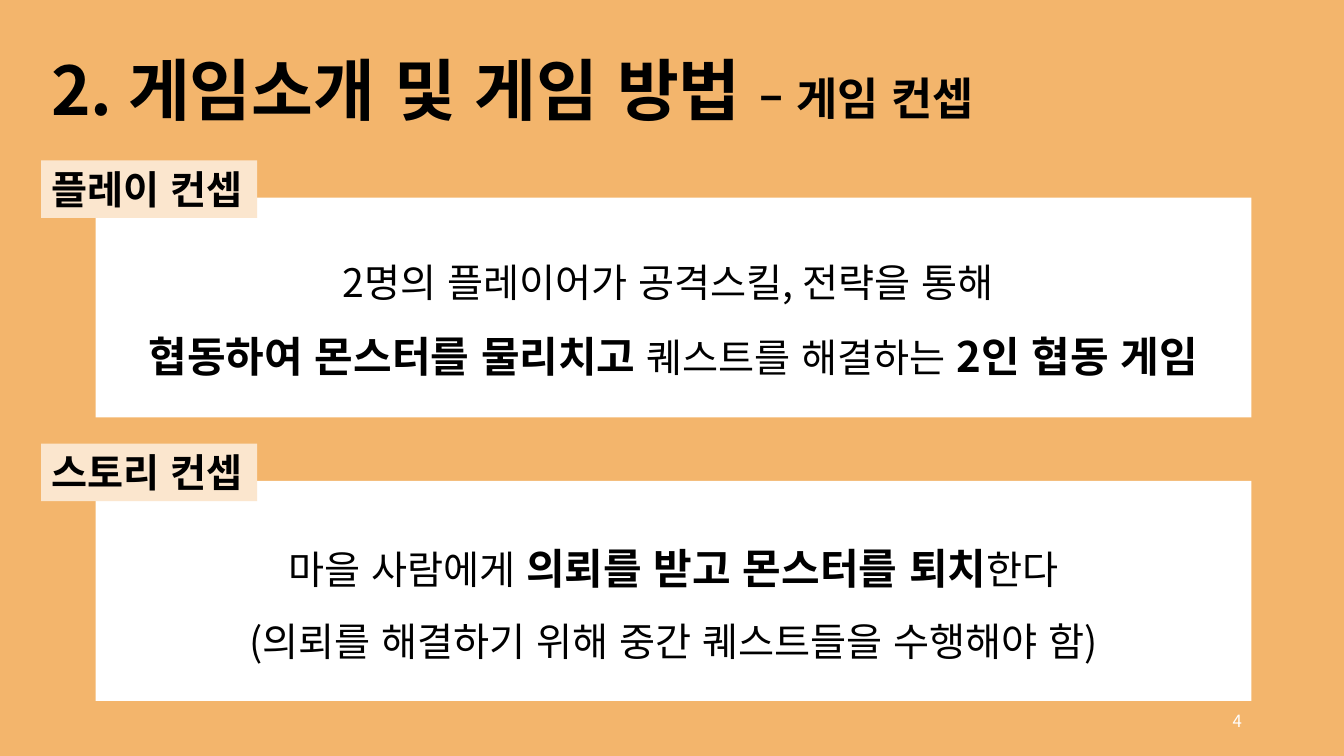
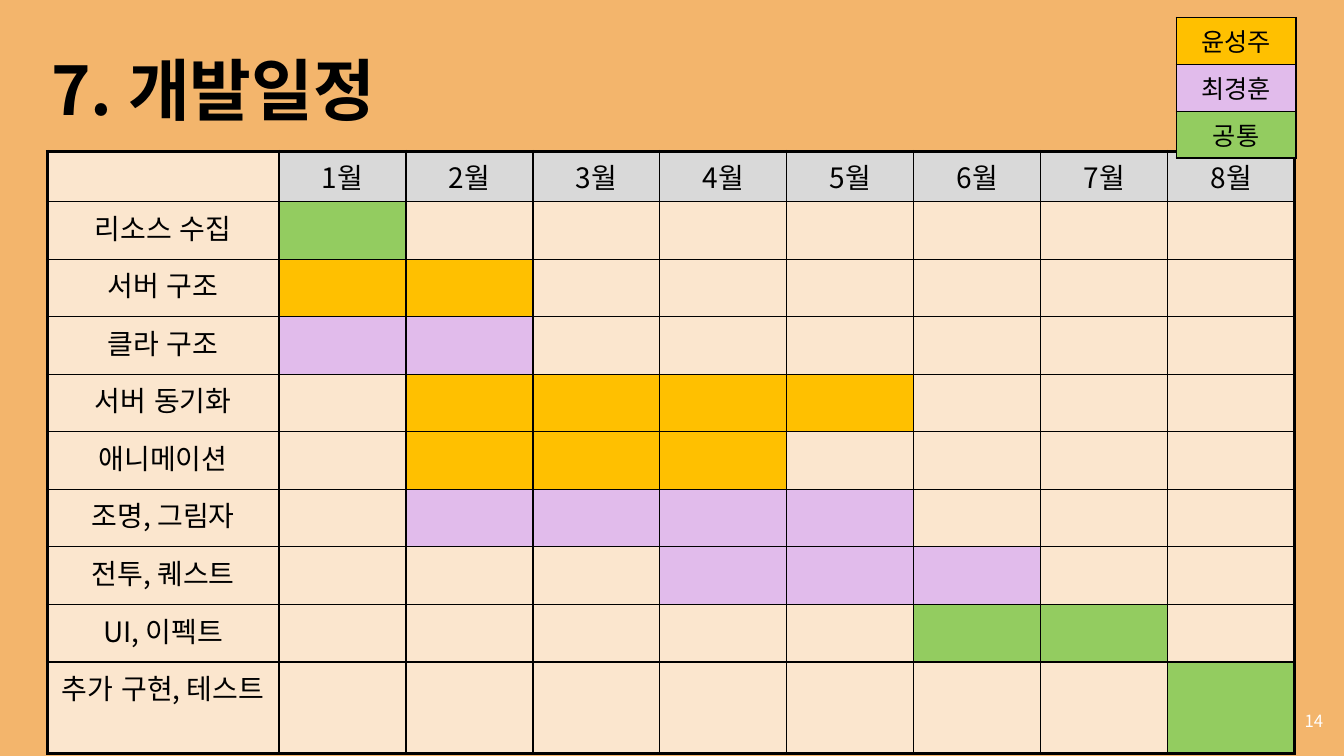
from lxml import etree
from pptx import Presentation
from pptx.dml.color import RGBColor
from pptx.enum import lang, shapes, text
from pptx.oxml.ns import qn
from pptx.util import Cm, Pt

FONT = "Noto Sans CJK KR"
BLACK = RGBColor(0x00, 0x00, 0x00)
WHITE = RGBColor(0xFF, 0xFF, 0xFF)
ORANGE = RGBColor(0xF3, 0xB5, 0x6C)
CREAM = RGBColor(0xFB, 0xE6, 0xCE)
GRAY = RGBColor(0xD9, 0xD9, 0xD9)
AMBER = RGBColor(0xFF, 0xC0, 0x00)
LILAC = RGBColor(0xE1, 0xBB, 0xEB)
GREEN = RGBColor(0x93, 0xCC, 0x60)

# Each run is (text, size, bold)
CONCEPT_TITLE = [("2. 게임소개 및 게임 방법 ", 48, True), ("– 게임 컨셉", 32, True)]
CONCEPTS = [
    ("플레이 컨셉", [
        [("2명의 플레이어가 공격스킬, 전략을 통해 ", 28, False)],
        [("협동하여 몬스터를 물리치고", 30, True),
         (" 퀘스트를 해결하는 ", 28, False),
         ("2인 협동 게임", 30, True)],
    ]),
    ("스토리 컨셉", [
        [("마을 사람에게 ", 28, False),
         ("의뢰를 받고 몬스터를 퇴치", 30, True),
         ("한다", 28, False)],
        [("(의뢰를 해결하기 위해 중간 퀘스트들을 수행해야 함)", 28, False)],
    ]),
]

SCHEDULE_TITLE = [("7. 개발일정", 48, True)]
OWNERS = [("윤성주", AMBER), ("최경훈", LILAC), ("공통", GREEN)]
MONTHS = 8
# Task, first month, last month, colour of its owner
TASKS = [
    ("리소스 수집", 1, 1, GREEN),
    ("서버 구조", 1, 2, AMBER),
    ("클라 구조", 1, 2, LILAC),
    ("서버 동기화", 2, 5, AMBER),
    ("애니메이션", 2, 4, AMBER),
    ("조명, 그림자", 2, 5, LILAC),
    ("전투, 퀘스트", 4, 6, LILAC),
    ("UI, 이펙트", 6, 7, GREEN),
    ("추가 구현, 테스트", 8, 8, GREEN),
]

THIN, THICK = 1, 2.25
LEFT = Cm(1.04)
PANEL_PITCH = Cm(7.14)
HEADER_HEIGHT, TASK_HEIGHT, TWO_LINE_HEIGHT = Cm(1.27), Cm(1.45), Cm(2.3)


def write_runs(paragraph, runs, color=BLACK, align=text.PP_ALIGN.LEFT, spacing=None):
    paragraph.alignment = align
    paragraph.line_spacing = spacing
    for words, size, bold in runs:
        run = paragraph.add_run()
        run.text = words
        run.font.size = Pt(size)
        run.font.bold = bold
        run.font.language_id = lang.MSO_LANGUAGE_ID.KOREAN
        run.font.color.rgb = color
        run.font.name = FONT
        east_asian = etree.SubElement(run._r.get_or_add_rPr(), qn("a:ea"))
        east_asian.set("typeface", FONT)


def add_titled_slide(presentation, title_runs, number, number_left):
    slide = presentation.slides.add_slide(presentation.slide_layouts[5])
    title = slide.shapes.title
    title.left, title.top, title.width, title.height = LEFT, Cm(0.89), Cm(32.49), Cm(2.92)
    frame = title.text_frame
    frame.auto_size = text.MSO_AUTO_SIZE.NONE
    frame.vertical_anchor = text.MSO_ANCHOR.MIDDLE
    write_runs(frame.paragraphs[0], title_runs, spacing=0.9)

    number_box = slide.shapes.add_textbox(number_left, Cm(17.65), Cm(7.62), Cm(1.02))
    number_box.text_frame.word_wrap = True
    number_box.text_frame.vertical_anchor = text.MSO_ANCHOR.MIDDLE
    write_runs(number_box.text_frame.paragraphs[0], [(number, 12, False)],
               WHITE, text.PP_ALIGN.RIGHT)
    return slide


def add_concept(slide, offset, label, lines):
    panel = slide.shapes.add_shape(shapes.MSO_SHAPE.RECTANGLE, Cm(2.41),
                                   Cm(4.98) + offset, Cm(29.13), Cm(5.54))
    panel.shadow.inherit = False
    panel.fill.solid()
    panel.fill.fore_color.rgb = WHITE
    panel.line.fill.background()
    frame = panel.text_frame
    frame.word_wrap = True
    frame.vertical_anchor = text.MSO_ANCHOR.MIDDLE
    for index, runs in enumerate(lines):
        paragraph = frame.add_paragraph() if index else frame.paragraphs[0]
        write_runs(paragraph, runs, align=text.PP_ALIGN.CENTER, spacing=1.5)

    tag = slide.shapes.add_textbox(LEFT, Cm(4.04) + offset, Cm(5.44), Cm(1.45))
    tag.fill.solid()
    tag.fill.fore_color.rgb = CREAM
    tag.text_frame.word_wrap = False
    tag.text_frame.auto_size = text.MSO_AUTO_SIZE.SHAPE_TO_FIT_TEXT
    write_runs(tag.text_frame.paragraphs[0], [(label, 28, True)])


def set_borders(cell, widths):
    """Draw black borders; widths are points for left, right, top and bottom."""
    properties = cell._tc.get_or_add_tcPr()
    for index, (side, width) in enumerate(zip("LRTB", widths)):
        line = etree.Element(qn(f"a:ln{side}"), w=str(int(Pt(width))))
        fill = etree.SubElement(line, qn("a:solidFill"))
        etree.SubElement(fill, qn("a:srgbClr"), val=str(BLACK))
        properties.insert(index, line)


def add_grid(slide, left, top, column_widths, row_heights, rows, size, outline):
    """Add a table from rows of (text, fill) cells, with its own outline width."""
    table = slide.shapes.add_table(len(rows), len(column_widths), left, top,
                                   sum(column_widths), sum(row_heights)).table
    table.first_row = table.horz_banding = False
    for column, width in zip(table.columns, column_widths):
        column.width = width
    for row, height in zip(table.rows, row_heights):
        row.height = height
    last_row, last_column = len(rows) - 1, len(column_widths) - 1
    for r, row in enumerate(rows):
        for c, (words, color) in enumerate(row):
            cell = table.cell(r, c)
            cell.fill.solid()
            cell.fill.fore_color.rgb = color
            if words:
                write_runs(cell.text_frame.paragraphs[0], [(words, size, False)],
                           align=text.PP_ALIGN.CENTER)
            on_edge = (c == 0, c == last_column, r == 0, r == last_row)
            set_borders(cell, [outline if edge else THIN for edge in on_edge])


def build_concept_slide(presentation):
    slide = add_titled_slide(presentation, CONCEPT_TITLE, "4", Cm(23.93))
    for index, (label, lines) in enumerate(CONCEPTS):
        add_concept(slide, index * PANEL_PITCH, label, lines)


def build_schedule_slide(presentation):
    slide = add_titled_slide(presentation, SCHEDULE_TITLE, "14", Cm(25.98))
    months = range(1, MONTHS + 1)
    rows = [[("", CREAM)] + [(f"{month}월", GRAY) for month in months]]
    for task, first, last, color in TASKS:
        bar = [("", color if first <= month <= last else CREAM) for month in months]
        rows.append([(task, CREAM)] + bar)
    heights = [HEADER_HEIGHT] + [TASK_HEIGHT] * (len(TASKS) - 1) + [TWO_LINE_HEIGHT]
    add_grid(slide, Cm(1.19), Cm(3.81), [Cm(5.84)] + [Cm(3.2)] * MONTHS,
             heights, rows, 20, THICK)
    add_grid(slide, Cm(29.64), Cm(0.44), [Cm(3.02)], [Cm(1.18)] * len(OWNERS),
             [[owner] for owner in OWNERS], 18, THIN)


def main():
    presentation = Presentation()
    presentation.slide_width, presentation.slide_height = Cm(33.87), Cm(19.05)
    background = presentation.slide_master.background.fill
    background.solid()
    background.fore_color.rgb = ORANGE
    build_concept_slide(presentation)
    build_schedule_slide(presentation)
    presentation.save("out.pptx")


if __name__ == "__main__":
    main()
